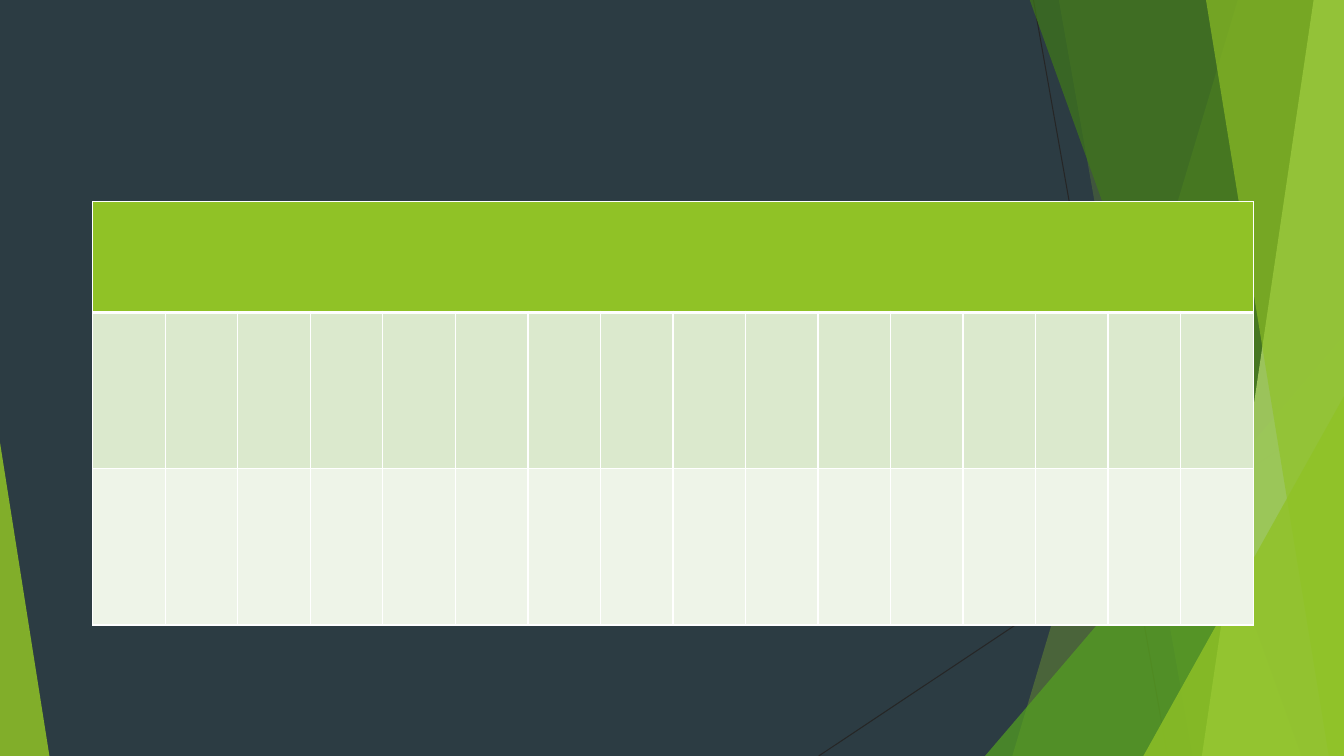
"""Build a dark slide with green facets and an empty sixteen-column table."""
from dataclasses import dataclass

from lxml import etree
from pptx import Presentation
from pptx.dml.color import RGBColor
from pptx.enum.shapes import MSO_CONNECTOR, MSO_SHAPE
from pptx.oxml.ns import qn
from pptx.util import Inches, Pt

STRAIGHT = MSO_CONNECTOR.STRAIGHT
WEDGE = MSO_SHAPE.ISOSCELES_TRIANGLE
WIDE, HIGH = 13.33, 7.5


@dataclass(frozen=True)
class Theme:
    """Colours, font and type size of the deck."""
    back: str = "2C3C43"
    ink: str = "262626"
    lime: str = "90C226"
    leaf: str = "54A021"
    moss: str = "3F7819"
    pale: str = "C0E474"
    band: str = "DBE9CD"
    light: str = "EEF4E8"
    white: str = "FFFFFF"
    font: str = "Calibri"
    size: int = 18


def write(frame, text, *, font, size, color):
    """Put formatted text into a text frame."""
    frame.text = text
    style = frame.paragraphs[0].font
    style.name, style.size = font, Pt(size)
    style.color.rgb = RGBColor.from_string(color)


class Page:
    """Draw elements on one slide in one theme."""

    def __init__(self, slide, theme):
        """Keep the slide and theme, and paint the background."""
        self.slide, self.theme = slide, theme
        self.shapes = slide.shapes
        self.paint(slide.background.fill, theme.back)

    def paint(self, fill, color):
        """Make a fill solid."""
        fill.solid()
        fill.fore_color.rgb = RGBColor.from_string(color)

    def line(self, start, end):
        """Draw a thin straight line."""
        ends = [Inches(n) for n in (*start, *end)]
        line = self.shapes.add_connector(STRAIGHT, *ends)
        line.line.width = Pt(0.75)
        line.line.color.rgb = RGBColor.from_string(self.theme.ink)
        etree.SubElement(line._element.spPr, qn("a:effectLst"))

    def glaze(self, shape, color, alpha):
        """Give a shape a see-through fill with no outline or shadow."""
        shape.shadow.inherit = False
        shape.line.fill.background()
        self.paint(shape.fill, color)
        tint = shape._element.spPr.find(".//" + qn("a:srgbClr"))
        etree.SubElement(tint, qn("a:alpha"), val=str(alpha * 1000))

    def pane(self, top, base, color, alpha):
        """Draw a facet from a slanted left edge to the right of the slide."""
        edge = [(top, -0.01), (WIDE, -0.01), (WIDE, HIGH), (base, HIGH)]
        dots = [(Inches(x), Inches(y)) for x, y in edge]
        form = self.shapes.build_freeform(*dots[0])
        form.add_line_segments(dots[1:], close=True)
        self.glaze(form.convert_to_shape(), color, alpha)

    def wedge(self, left, top, width, peak, color, alpha):
        """Draw a right triangle that stands on the bottom of the slide."""
        box = [Inches(n) for n in (left, top, width, HIGH - top)]
        shape = self.shapes.add_shape(WEDGE, *box)
        shape.adjustments[0] = peak
        self.glaze(shape, color, alpha)

    def cell(self, cell, color, over, under):
        """Fill and frame a table cell."""
        self.paint(cell.fill, color)
        props = cell._tc.get_or_add_tcPr()
        sides = {"lnL": 1, "lnR": 1, "lnT": over, "lnB": under}
        for spot, (side, width) in enumerate(sides.items()):
            edge = etree.Element(qn(f"a:{side}"), w=str(Pt(width)))
            solid = etree.SubElement(edge, qn("a:solidFill"))
            etree.SubElement(solid, qn("a:srgbClr"), val=self.theme.white)
            props.insert(spot, edge)

    def table(self, left, top, width, rows, texts):
        """Draw a table with a merged header row."""
        count = len(texts[0])
        box = [Inches(n) for n in (left, top, width, sum(r[0] for r in rows))]
        table = self.shapes.add_table(len(rows), count, *box).table
        for col in table.columns:
            col.width = Inches(width / count)
        for row, (high, color, over, under), words in zip(table.rows, rows, texts):
            row.height = Inches(high)
            for cell, text in zip(row.cells, words):
                self.cell(cell, color, over, under)
                write(cell.text_frame, text, font=self.theme.font,
                      size=self.theme.size, color=self.theme.ink)
        table.cell(0, 0).merge(table.cell(0, count - 1))


def main():
    """Build and save the slide."""
    deck = Presentation()
    deck.slide_width, deck.slide_height = Inches(WIDE), Inches(HIGH)
    theme = Theme()
    page = Page(deck.slides.add_slide(deck.slide_layouts[6]), theme)

    page.line((10.25, 0), (11.58, HIGH))
    page.line((WIDE, 4.03), (8.12, HIGH))
    page.pane(12.28, 10.04, theme.lime, 30)
    page.pane(10.5, 11.83, theme.lime, 20)
    page.wedge(9.77, 3.33, 3.56, 1, theme.leaf, 72)
    page.pane(10.21, 12.91, theme.moss, 70)
    page.pane(13.03, 11.92, theme.pale, 70)
    page.pane(11.96, 13.18, theme.lime, 65)
    page.wedge(11.34, 3.93, 1.99, 1, theme.lime, 80)
    page.wedge(0, 4.39, 0.49, 0, theme.lime, 85)

    rows = [(1.1, theme.lime, 1, 3), (1.55, theme.band, 3, 1),
            (1.55, theme.light, 1, 1)]
    page.table(0.92, 2, 11.51, rows, [[""] * 16] * len(rows))
    deck.save("out.pptx")


if __name__ == "__main__":
    main()
